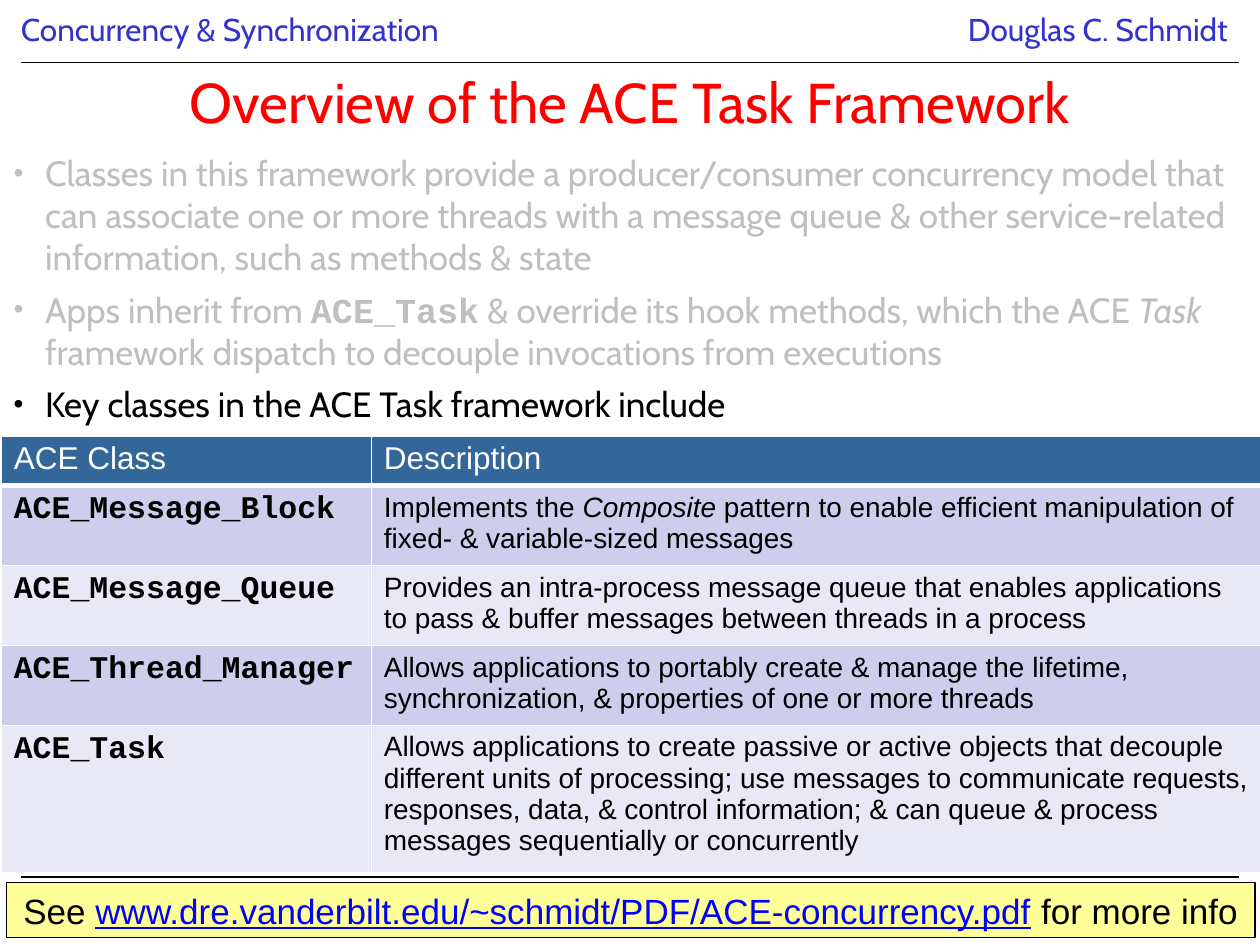
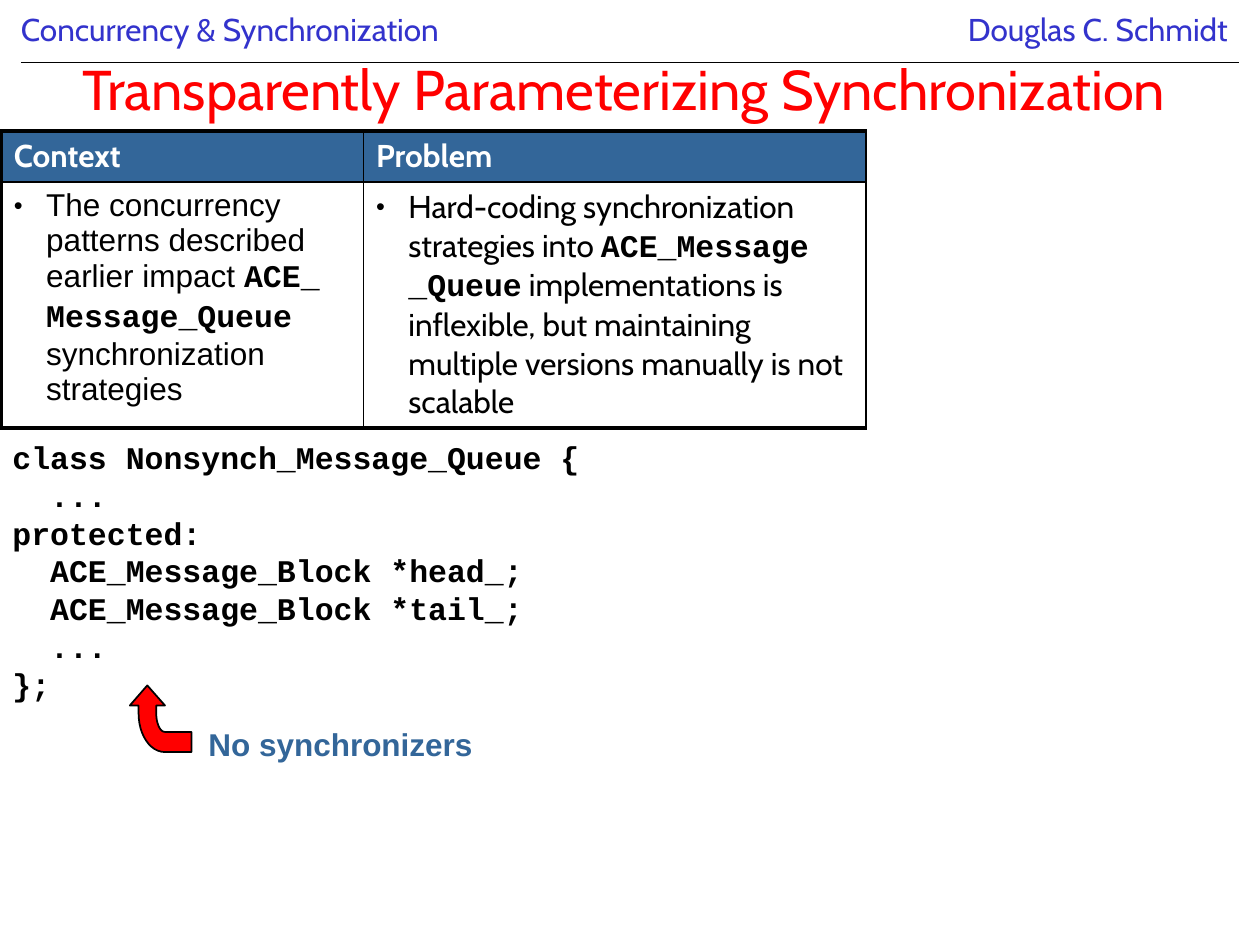
from lxml.etree import SubElement
from pptx import Presentation
from pptx.dml.color import RGBColor as Rgb
from pptx.enum.shapes import MSO_CONNECTOR as Link, MSO_SHAPE as Preset
from pptx.enum.text import MSO_ANCHOR as Anchor, PP_ALIGN as Align
from pptx.oxml.ns import qn
from pptx.util import Pt

COLORS = {
    "black": "000000", "white": "FFFFFF", "banner": "3333CC", "red": "FF0000",
    "faded": "BFBFBF", "steel": "336699", "lilac": "CECEEC", "pale": "E8E8F6",
    "yellow": "FFFF99", "link": "0000FF",
}
CODE = {"name": "Courier New", "bold": True}
ITALIC = {"italic": True}
BANNER = {"name": "Cabin", "size": Pt(18), "color": "banner"}
TITLE = {"name": "Cabin", "size": Pt(32), "color": "red"}
BULLETS = {"name": "Cabin", "size": Pt(20), "color": "faded"}
BODY = {"name": "Arial", "size": Pt(18), "color": "black"}


def write(frame, paragraphs, style, layout=None, indent=0, gap=0):
    """Each paragraph is a list of (text, format changes) spans."""
    frame.word_wrap = True
    for number, spans in enumerate(paragraphs):
        para = frame.add_paragraph() if number else frame.paragraphs[0]
        if indent:
            props = para._p.get_or_add_pPr()
            props.set("marL", str(Pt(indent)))
            props.set("indent", str(-Pt(indent)))
            SubElement(props, qn("a:buSzPct"), val="80000")
            SubElement(props, qn("a:buFont"), typeface="Arial")
            SubElement(props, qn("a:buChar"), char="•")
        for key, value in (layout or {}).items():
            setattr(para, key, value)
        if number and gap:
            para.space_before = Pt(gap)
        for text, changes in spans:
            span = para.add_run()
            span.text = text
            for key, value in {**style, **changes}.items():
                if key == "color":
                    span.font.color.rgb = Rgb.from_string(COLORS[value])
                else:
                    setattr(span.font, key, value)


def finish_cell(cell, fill, color, widths):
    """Widths are the border widths: left, right, top, bottom."""
    if fill:
        cell.fill.solid()
        cell.fill.fore_color.rgb = Rgb.from_string(COLORS[fill])
    else:
        cell.fill.background()
    props = cell._tc.get_or_add_tcPr()
    for place, (side, width) in enumerate(zip("LRTB", widths)):
        border = SubElement(props, qn(f"a:ln{side}"), w=str(Pt(width)))
        paint = SubElement(border, qn("a:solidFill"))
        SubElement(paint, qn("a:srgbClr"), val=COLORS[color])
        props.insert(place, border)


deck = Presentation()
deck.slide_width, deck.slide_height = Pt(720), Pt(540)

# Shared banner, rules and title
headings = [
    # title, left, top, width, height, line spacing, heights of the rules
    ("Overview of the ACE Task Framework", 12, 42.4, 696, 30.2, 1.0, [35.8, 501.2]),
    ("Transparently Parameterizing Synchronization ", 0.7, 17.3, 719.3, 72, 0.85, [35.8]),
]
pages = []
for heading, left, top, width, height, spacing, rules in headings:
    page = deck.slides.add_slide(deck.slide_layouts[6])
    pages.append(page)
    for y in rules:
        rule = page.shapes.add_connector(Link.STRAIGHT, Pt(12), Pt(y), Pt(708), Pt(y))
        rule.line.color.rgb = Rgb.from_string(COLORS["black"])
        rule.line.width = Pt(0.75)
        SubElement(rule._element.spPr, qn("a:effectLst"))
    box = page.shapes.add_textbox(Pt(12), Pt(4.8), Pt(470), Pt(26.6))
    box.text_frame.margin_left = box.text_frame.margin_right = 0
    write(box.text_frame, [[("Concurrency & Synchronization", {})]], BANNER,
          {"line_spacing": 0.9})
    box = page.shapes.add_textbox(Pt(528), Pt(4.8), Pt(180.7), Pt(26.6))
    write(box.text_frame, [[("Douglas C. Schmidt", {})]], BANNER,
          {"line_spacing": 0.9, "alignment": Align.RIGHT})
    box = page.shapes.add_textbox(Pt(left), Pt(top), Pt(width), Pt(height))
    box.text_frame.vertical_anchor = Anchor.MIDDLE
    write(box.text_frame, [[(heading, {})]], TITLE,
          {"alignment": Align.CENTER, "line_spacing": spacing})
overview, synchronization = pages

# Overview: bullets
box = overview.shapes.add_textbox(Pt(0.7), Pt(83), Pt(719.3), Pt(165))
write(box.text_frame, [
    [("Classes in this framework provide a producer/consumer concurrency model that "
      "can associate one or more threads with a message queue & other service-related "
      "information, such as methods & state", {})],
    [("Apps inherit from ", {}), ("ACE_Task", CODE),
     (" & override its hook methods, which the ACE ", {}), ("Task ", ITALIC),
     ("framework dispatch to decouple invocations from executions", {})],
    [("Key classes in the ACE Task framework include", {"color": "black"})],
], BULLETS, indent=18, gap=6)

# Overview: table of classes
classes = [
    ("ACE Class", [("Description", {})], 27.4),
    ("ACE_Message_Block",
     [("Implements the ", {}), ("Composite", ITALIC),
      (" pattern to enable efficient manipulation of fixed- & variable-sized messages", {})],
     45.7),
    ("ACE_Message_Queue",
     [("Provides an intra-process message queue that enables applications to pass & "
       "buffer messages between threads in a process", {})], 45.7),
    ("ACE_Thread_Manager",
     [("Allows applications to portably create & manage the lifetime, "
       "synchronization, & properties of one or more threads", {})], 45.7),
    ("ACE_Task",
     [("Allows applications to create passive or active objects that decouple "
       "different units of processing; use messages to communicate requests, "
       "responses, data, & control information; & can queue & process messages "
       "sequentially or concurrently", {})], 84),
]
table = overview.shapes.add_table(len(classes), 2, Pt(0.7), Pt(249.3),
                                  Pt(720), Pt(248.5)).table
table.first_row = table.horz_banding = False
for column, width in zip(table.columns, (211.5, 508.5)):
    column.width = Pt(width)
for row, (name, description, height) in enumerate(classes):
    table.rows[row].height = Pt(height)
    if row == 0:
        fill, borders = "steel", (1, 1, 1, 3)
        styles = [{**BODY, "color": "white"}] * 2
    else:
        fill, borders = "lilac" if row % 2 else "pale", (1, 1, 1, 1)
        styles = [{**BODY, **CODE}, {**BODY, "size": Pt(16)}]
    for column, spans in enumerate(([(name, {})], description)):
        cell = table.cell(row, column)
        tight = row == 0 or column == 0
        write(cell.text_frame, [spans], styles[column],
              {"line_spacing": 0.97} if tight else None)
        finish_cell(cell, fill, "white", borders)

# Overview: reference bar
bar = overview.shapes.add_shape(Preset.RECTANGLE, Pt(3.6), Pt(504.3), Pt(713.5), Pt(31.5))
bar.shadow.inherit = False
bar.fill.solid()
bar.fill.fore_color.rgb = Rgb.from_string(COLORS["yellow"])
bar.line.color.rgb = Rgb.from_string(COLORS["black"])
bar.line.width = Pt(0.75)
write(bar.text_frame, [[
    ("See ", {}),
    ("www.dre.vanderbilt.edu/~schmidt/PDF/ACE-concurrency.pdf",
     {"color": "link", "underline": True}),
    (" for more info", {}),
]], {**BODY, "size": Pt(20)}, {"alignment": Align.CENTER})

# Synchronization: context and problem table
columns = [
    ("Context", 207, "Arial", (2.25, 1),
     [("The concurrency patterns described earlier impact ", {}),
      ("ACE_ Message_Queue", CODE), (" ", {"name": "Cabin"}),
      ("synchronization strategies", {})]),
    ("Problem", 287, "Cabin", (1, 1.5),
     [("Hard-coding synchronization strategies into ", {}),
      ("ACE_Message _Queue", CODE),
      (" implementations is inflexible, but maintaining multiple versions manually "
       "is not scalable", {})]),
]
table = synchronization.shapes.add_table(2, 2, Pt(0.7), Pt(74.9), Pt(494), Pt(169.5)).table
table.first_row = table.horz_banding = False
for row, height in zip(table.rows, (29, 140.7)):
    row.height = Pt(height)
for column, (heading, width, font, sides, spans) in enumerate(columns):
    table.columns[column].width = Pt(width)
    head, body = table.cell(0, column), table.cell(1, column)
    write(head.text_frame, [[(heading, {})]],
          {**BODY, "name": "Cabin", "color": "white", "bold": True})
    finish_cell(head, "steel", "black", (*sides, 2.25, 1))
    write(body.text_frame, [spans], {**BODY, "name": font}, indent=18.5)
    finish_cell(body, None, "black", (*sides, 1, 2.25))

# Synchronization: code panel and its label
code_lines = [
    "class Nonsynch_Message_Queue {",
    "  ...",
    "protected:",
    "  ACE_Message_Block *head_;",
    "  ACE_Message_Block *tail_;",
    "  ...",
    "};",
]
panel = synchronization.shapes.add_shape(Preset.RECTANGLE, 0, Pt(246.8), Pt(338.4), Pt(177))
panel.shadow.inherit = False
panel.fill.solid()
panel.fill.fore_color.rgb = Rgb.from_string(COLORS["white"])
panel.line.fill.background()
panel.text_frame.vertical_anchor = Anchor.TOP
write(panel.text_frame, [[(line, {})] for line in code_lines], {**BODY, **CODE},
      {"alignment": Align.LEFT})
box = synchronization.shapes.add_textbox(Pt(112), Pt(410.9), Pt(262), Pt(29))
write(box.text_frame, [[("No synchronizers", {})]],
      {**BODY, "color": "steel", "bold": True})

# Synchronization: bent arrow, with its two bends sampled from Bezier curves
bends = []
for curve in (
    [(79.2, 407.5), (79.2, 419.8), (85.7, 429.8), (94.3, 429.8)],
    [(94.3, 418.3), (91.4, 418.3), (89.3, 413.3), (89.3, 407.5)],
):
    bend = []
    for step in range(13):
        t = step / 12
        weights = ((1 - t) ** 3, 3 * t * (1 - t) ** 2, 3 * t * t * (1 - t), t ** 3)
        bend.append(tuple(sum(w * point[axis] for w, point in zip(weights, curve))
                          for axis in (0, 1)))
    bends.append(bend)
outer, inner = bends
outline = [(84.2, 391.7), (74.2, 403.2), (79.2, 403.2), *outer,
           (109.4, 429.8), (109.4, 418.3), *inner, (89.3, 403.2), (94.3, 403.2)]
builder = synchronization.shapes.build_freeform(
    Pt(outline[0][0]), Pt(outline[0][1]), scale=1.0)
builder.add_line_segments([(Pt(x), Pt(y)) for x, y in outline[1:]], close=True)
arrow = builder.convert_to_shape()
arrow.shadow.inherit = False
arrow.fill.solid()
arrow.fill.fore_color.rgb = Rgb.from_string(COLORS["red"])
arrow.line.color.rgb = Rgb.from_string(COLORS["black"])
arrow.line.width = Pt(1)

deck.save("out.pptx")
